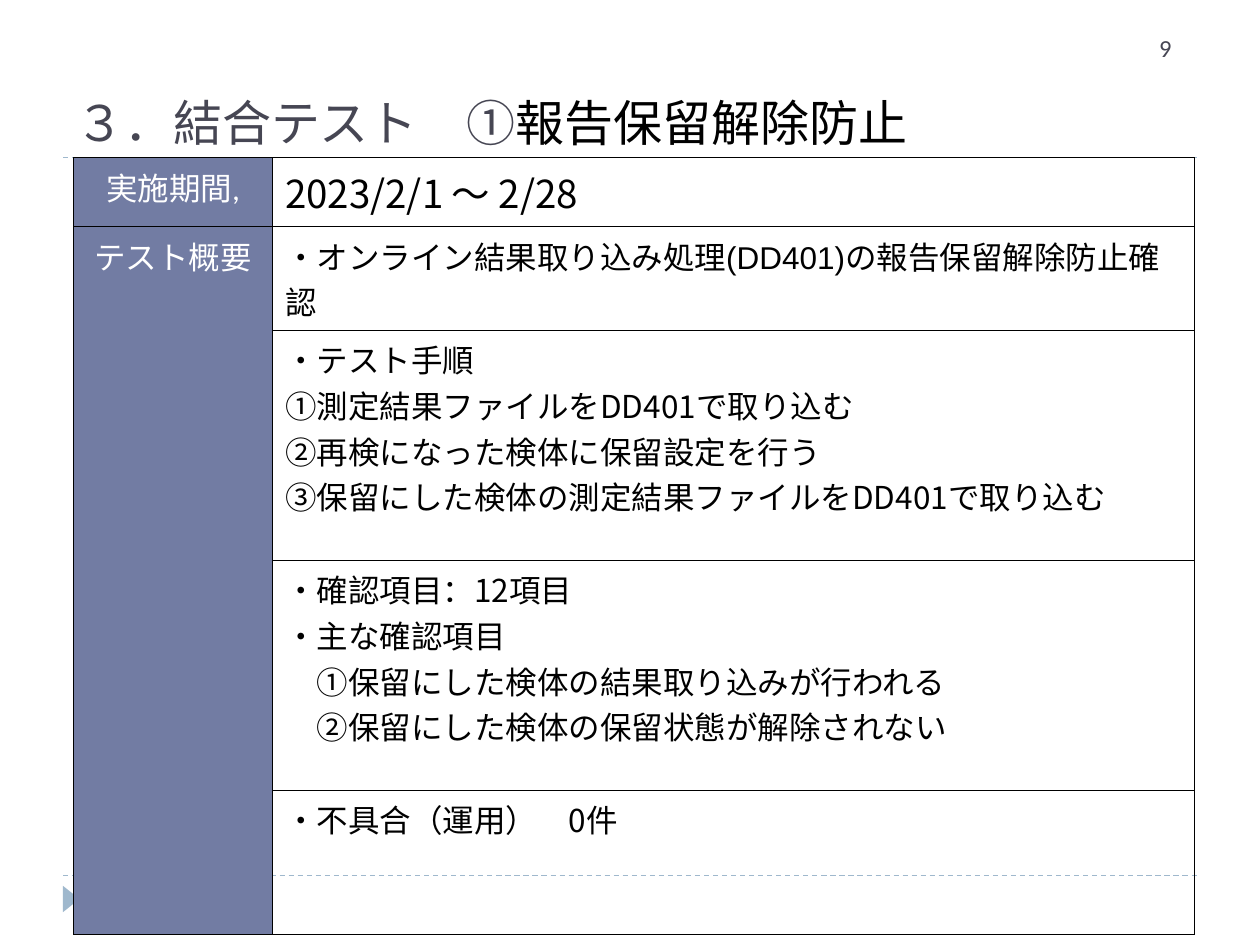
from lxml import etree
from pptx import Presentation
from pptx.dml.color import RGBColor
from pptx.enum import dml, shapes, text
from pptx.oxml.ns import qn
from pptx.util import Pt

SANS = "Noto Sans CJK JP"
STEPS = [
    "・テスト手順",
    "①測定結果ファイルをDD401で取り込む",
    "②再検になった検体に保留設定を行う",
    "③保留にした検体の測定結果ファイルをDD401で取り込む",
]
CHECKS = [
    "・確認項目：12項目",
    "・主な確認項目",
    "　①保留にした検体の結果取り込みが行われる",
    "　②保留にした検体の保留状態が解除されない",
]


def color(code):
    return RGBColor.from_string(code)


def style(font, size, name, code):
    font.size, font.name, font.bold = Pt(size), name, False
    font.color.rgb = color(code)


def write(frame, lines, size, name=SANS, code="000000", align=None):
    for i, line in enumerate(lines):
        para = frame.paragraphs[0] if i == 0 else frame.add_paragraph()
        para.text = line
        para.alignment = align
        style(para.font, size, name, code)


def mix(frame, parts, size):
    """Write one paragraph from (words, font, colour) parts."""
    para = frame.paragraphs[0]
    for words, name, code in parts:
        run = para.add_run()
        run.text = words
        style(run.font, size, name, code)


def box(slide, left, top, width, height, anchor):
    frame = slide.shapes.add_textbox(Pt(left), Pt(top), Pt(width), Pt(height)).text_frame
    frame.word_wrap = True
    frame.vertical_anchor = anchor
    return frame


def rule(slide, top):
    line = slide.shapes.add_connector(
        shapes.MSO_CONNECTOR.STRAIGHT, Pt(36), Pt(top), Pt(684), Pt(top))
    line.line.color.rgb = color("9FB8CD")
    line.line.width = Pt(0.75)
    line.line.dash_style = dml.MSO_LINE.DASH
    etree.SubElement(line._element.spPr, qn("a:effectLst"))


def mark(slide):
    tri = slide.shapes.add_shape(
        shapes.MSO_SHAPE.ISOSCELES_TRIANGLE, Pt(33.1), Pt(509), Pt(15.1), Pt(9.4))
    tri.rotation = 90
    tri.shadow.inherit = False
    tri.fill.solid()
    tri.fill.fore_color.rgb = color("9FB8CD")
    tri.line.fill.background()


def border(cell):
    props = cell._tc.get_or_add_tcPr()
    for i, side in enumerate(("lnL", "lnR", "lnT", "lnB")):
        line = etree.Element(qn("a:" + side), w=str(Pt(0.45)))
        fill = etree.SubElement(line, qn("a:solidFill"))
        etree.SubElement(fill, qn("a:srgbClr"), val="000000")
        props.insert(i, line)


def grid(slide, cols, rows):
    table = slide.shapes.add_table(
        len(rows), len(cols), Pt(42), Pt(90.2), Pt(sum(cols)), Pt(sum(rows))).table
    table.first_row = table.horz_banding = False
    for col, width in zip(table.columns, cols):
        col.width = Pt(width)
    for row, height in zip(table.rows, rows):
        row.height = Pt(height)
        head, body = row.cells
        head.fill.solid()
        head.fill.fore_color.rgb = color("727CA3")
        body.fill.background()
        border(head)
        border(body)
    table.cell(1, 0).merge(table.cell(len(rows) - 1, 0))
    return table


def main():
    deck = Presentation()
    deck.slide_width, deck.slide_height = Pt(720), Pt(540)
    slide = deck.slides.add_slide(deck.slide_layouts[6])

    # Rules and footer mark
    rule(slide, 500.4)
    rule(slide, 90)
    mark(slide)

    # Test table
    table = grid(slide, (113.8, 526.6), (38.9, 59.4, 131.4, 131.4, 82.3))
    for i, label in enumerate(("実施期間,", "テスト概要")):
        write(table.cell(i, 0).text_frame, [label], 18, "Calibri", "FFFFFF",
              text.PP_ALIGN.CENTER)
    write(table.cell(0, 1).text_frame, ["2023/2/1 ～ 2/28"], 22)
    mix(table.cell(1, 1).text_frame, [
        ("・", "Calibri", "000000"),
        ("オンライン結果取り込み処理(DD401)の報告保留解除防止確認", "Arial", "000000"),
    ], 18)
    for i, lines in enumerate((STEPS, CHECKS, ["・不具合（運用）　0件"]), 2):
        write(table.cell(i, 1).text_frame, lines, 18)

    # Title and page number
    title = box(slide, 36, 18, 648, 72, text.MSO_ANCHOR.BOTTOM)
    mix(title, [
        ("３．結合テスト　①", SANS, "464653"),
        ("報告保留解除防止", "Arial", "000000"),
    ], 28)
    page = box(slide, 655.2, 15.1, 60, 28.8, text.MSO_ANCHOR.TOP)
    write(page, ["9"], 14, "Calibri", "464653")

    deck.save("out.pptx")


if __name__ == "__main__":
    main()
